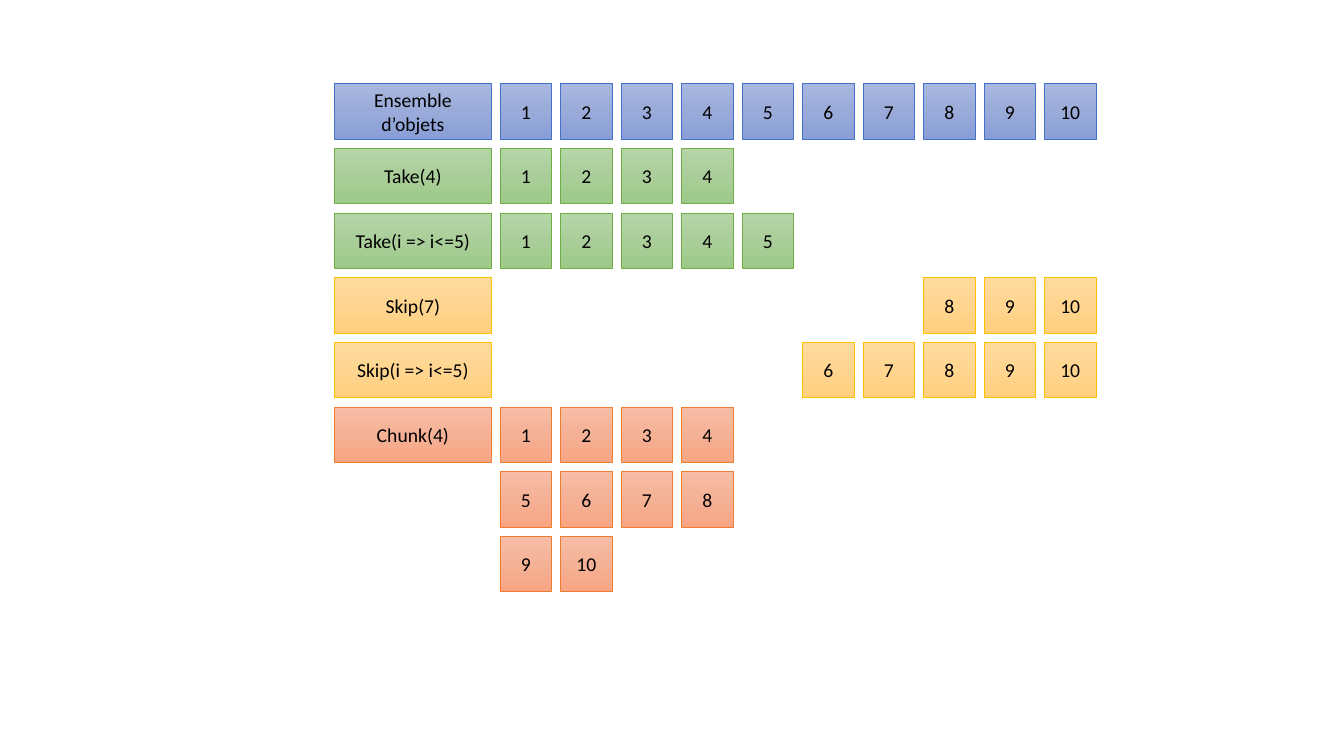
from copy import deepcopy
from dataclasses import dataclass

from pptx import Presentation, util as u
from pptx.dml.color import RGBColor
from pptx.enum import shapes, text


@dataclass(frozen=True)
class Theme:
    font: str = "Calibri"
    size: int = 14
    ink: str = "000000"
    line_width: float = 0.5
    # Each palette: top, middle and bottom of the gradient, then the outline
    blue: tuple = ("A8B7DF", "9AABD9", "889ED7", "4472C4")
    green: tuple = ("B5D5A7", "AACE9A", "9CC987", "70AD47")
    yellow: tuple = ("FFDB9E", "FFD590", "FFD07C", "FFC000")
    orange: tuple = ("F7BDA5", "F5B196", "F8A582", "ED7D31")


# Grid, in inches
LABEL_LEFT, LABEL_WIDTH = 3.32, 1.55
CELL_LEFT, CELL_WIDTH, CELL_PITCH = 4.96, 0.51, 0.6
FIRST_TOP, LAST_TOP, BOX_HEIGHT = 0.83, 5.32, 0.55


class Diagram:
    def __init__(self, s, theme):
        self.s = s
        self.theme = theme

    def gradient(self, sp, colors):
        """Fill a shape from top to bottom with evenly spaced colours."""
        sp.fill.gradient()
        sp.fill.gradient_angle = 270
        stops = sp.fill._xPr.find(".//{*}gsLst")
        stops.insert(1, deepcopy(stops[0]))
        for i, (stop, color) in enumerate(zip(sp.fill.gradient_stops, colors)):
            stop.position = i / (len(colors) - 1)
            stop.color.rgb = RGBColor.from_string(color)

    def box(self, left, top, width, caption, palette):
        sp = self.s.shapes.add_shape(
            shapes.MSO_SHAPE.RECTANGLE, u.Inches(left), u.Inches(top),
            u.Inches(width), u.Inches(BOX_HEIGHT))
        sp.shadow.inherit = False
        *colors, outline = palette
        self.gradient(sp, colors)
        sp.line.color.rgb = RGBColor.from_string(outline)
        sp.line.width = u.Pt(self.theme.line_width)

        tf = sp.text_frame
        tf.text = caption
        tf.word_wrap = True
        tf.vertical_anchor = text.MSO_ANCHOR.MIDDLE
        p = tf.paragraphs[0]
        p.alignment = text.PP_ALIGN.CENTER
        r = p.runs[0]
        r.font.name = self.theme.font
        r.font.size = u.Pt(self.theme.size)
        r.font.color.rgb = RGBColor.from_string(self.theme.ink)

    def row(self, top, label, numbers, first_column, palette):
        if label:
            self.box(LABEL_LEFT, top, LABEL_WIDTH, label, palette)
        for column, number in enumerate(numbers, first_column):
            left = CELL_LEFT + column * CELL_PITCH
            self.box(left, top, CELL_WIDTH, str(number), palette)


def main():
    prs = Presentation()
    prs.slide_width, prs.slide_height = u.Inches(13.33), u.Inches(7.5)
    s = prs.slides.add_slide(prs.slide_layouts[6])
    theme = Theme()
    diagram = Diagram(s, theme)

    # Label, numbers, column of the first number, palette
    rows = [
        ("Ensemble d’objets", range(1, 11), 0, theme.blue),
        ("Take(4)", range(1, 5), 0, theme.green),
        ("Take(i => i<=5)", range(1, 6), 0, theme.green),
        ("Skip(7)", range(8, 11), 7, theme.yellow),
        ("Skip(i => i<=5)", range(6, 11), 5, theme.yellow),
        ("Chunk(4)", range(1, 5), 0, theme.orange),
        (None, range(5, 9), 0, theme.orange),
        (None, range(9, 11), 0, theme.orange),
    ]
    row_pitch = (LAST_TOP - FIRST_TOP) / (len(rows) - 1)
    for i, row in enumerate(rows):
        diagram.row(FIRST_TOP + i * row_pitch, *row)

    prs.save("out.pptx")


if __name__ == "__main__":
    main()
